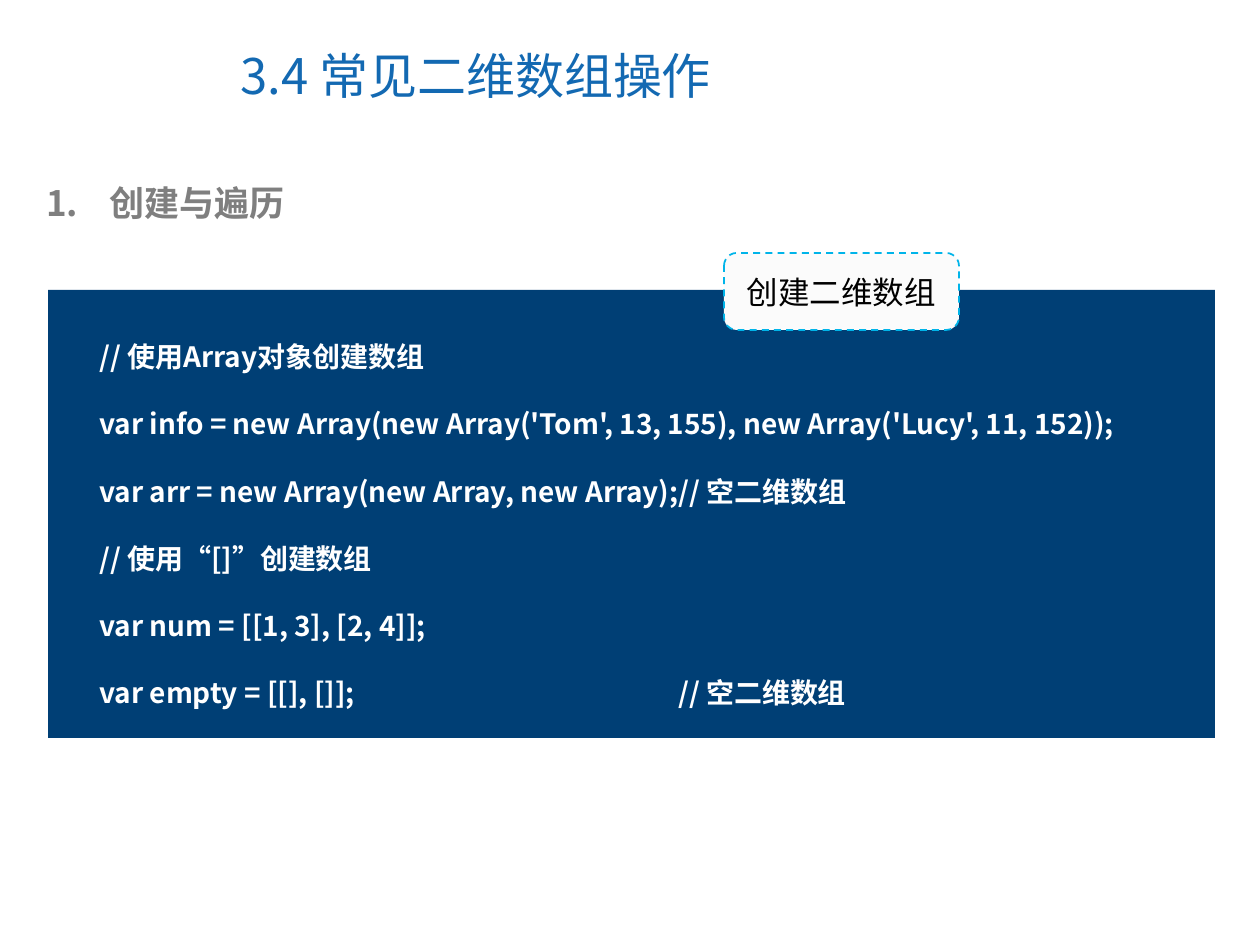
from lxml.etree import SubElement
from pptx import Presentation
from pptx.dml.color import RGBColor
from pptx.enum.dml import MSO_LINE
from pptx.enum.shapes import MSO_SHAPE as Shape
from pptx.enum.text import MSO_ANCHOR as Anchor, MSO_AUTO_SIZE as AutoSize, PP_ALIGN as Align
from pptx.oxml.ns import qn
from pptx.util import Pt

SCALE = 914400 / 126
FONT = "Noto Sans CJK SC"
WHITE, BLACK, GRAY = "FFFFFF", "000000", "7F7F7F"
BLUE, NAVY, CYAN, PALE = "1369B2", "003F75", "00B4E9", "FBFBFB"
CODE = [
    "// 使用Array对象创建数组",
    "var info = new Array(new Array('Tom', 13, 155), new Array('Lucy', 11, 152));",
    "var arr = new Array(new Array, new Array);// 空二维数组",
    "// 使用“[]”创建数组",
    "var num = [[1, 3], [2, 4]];",
    "var empty = [[], []];\t// 空二维数组",
]


def px(length):
    """Turn pixels into EMU."""
    return round(length * SCALE)


def color(value):
    """Turn a hex string into a colour."""
    return RGBColor.from_string(value)


class SlideBuilder:
    """Holds the style and the current slide."""

    def __init__(self, page):
        """Keep the slide to draw on."""
        self.page = page

    def fill_text(self, box, lines, size, hue, bold=False, font=FONT, align=Align.LEFT, spacing=None):
        """Fill a box with lines of one style."""
        frame = box.text_frame
        frame.word_wrap = True
        frame.auto_size = AutoSize.NONE
        frame.text = "\n".join(lines)
        for para in frame.paragraphs:
            para.alignment = align
            para.line_spacing = spacing
            for span in para.runs:
                span.font.size = Pt(size)
                span.font.bold = bold
                span.font.color.rgb = color(hue)
                span.font.name = font
                SubElement(span._r.get_or_add_rPr(), qn("a:ea"), typeface=FONT)
        return box

    def title(self, text, left, top, width, height):
        """Place and format the title placeholder."""
        box = self.page.shapes.title
        box.left, box.top, box.width, box.height = map(px, (left, top, width, height))
        box.text_frame.vertical_anchor = Anchor.MIDDLE
        self.fill_text(box, [text], 28, BLUE)

    def text(self, lines, left, top, width, height, **style):
        """Add a text box."""
        box = self.page.shapes.add_textbox(*map(px, (left, top, width, height)))
        return self.fill_text(box, lines, **style)

    def numbered(self, text, left, top, width, height, indent):
        """Add a numbered heading."""
        box = self.text([text], left, top, width, height, size=20, hue=GRAY, bold=True)
        props = box.text_frame.paragraphs[0]._p.get_or_add_pPr()
        props.set("marL", str(px(indent)))
        props.set("indent", str(-px(indent)))
        SubElement(SubElement(props, qn("a:buClr")), qn("a:srgbClr"), val=GRAY)
        SubElement(props, qn("a:buAutoNum"), type="arabicPeriod")

    def code(self, lines, left, top, width, height, tab):
        """Add code lines with one tab stop for trailing comments."""
        box = self.text(lines, left, top, width, height, size=16, hue=WHITE, bold=True, spacing=2)
        for para in box.text_frame.paragraphs:
            stops = SubElement(para._p.get_or_add_pPr(), qn("a:tabLst"))
            SubElement(stops, qn("a:tab"), pos=str(px(tab)), algn="l")

    def panel(self, kind, left, top, width, height, fill):
        """Add a filled shape without an outline."""
        shape = self.page.shapes.add_shape(kind, *map(px, (left, top, width, height)))
        shape.shadow.inherit = False
        shape.fill.solid()
        shape.fill.fore_color.rgb = color(fill)
        shape.line.fill.background()
        return shape

    def label(self, text, left, top, width, height):
        """Add a rounded label with a dashed outline."""
        shape = self.panel(Shape.ROUNDED_RECTANGLE, left, top, width, height, PALE)
        shape.line.color.rgb = color(CYAN)
        shape.line.width = Pt(1)
        shape.line.dash_style = MSO_LINE.DASH
        shape.text_frame.vertical_anchor = Anchor.MIDDLE
        self.fill_text(shape, [text], 18, BLACK, font="Arial", align=Align.CENTER)


def main():
    """Build and save the deck."""
    deck = Presentation()
    deck.slide_width, deck.slide_height = px(1260), px(945)
    builder = SlideBuilder(deck.slides.add_slide(deck.slide_layouts[5]))
    builder.title("3.4 常见二维数组操作", 228, 21, 650, 107)
    builder.numbered("创建与遍历", 34, 175, 1162, 55, indent=63)
    builder.panel(Shape.RECTANGLE, 48, 290, 1167, 448, NAVY)
    builder.code(CODE, 87, 300, 1115, 416, tab=579)
    builder.label("创建二维数组", 724, 253, 235, 77)
    deck.save("out.pptx")


if __name__ == "__main__":
    main()
